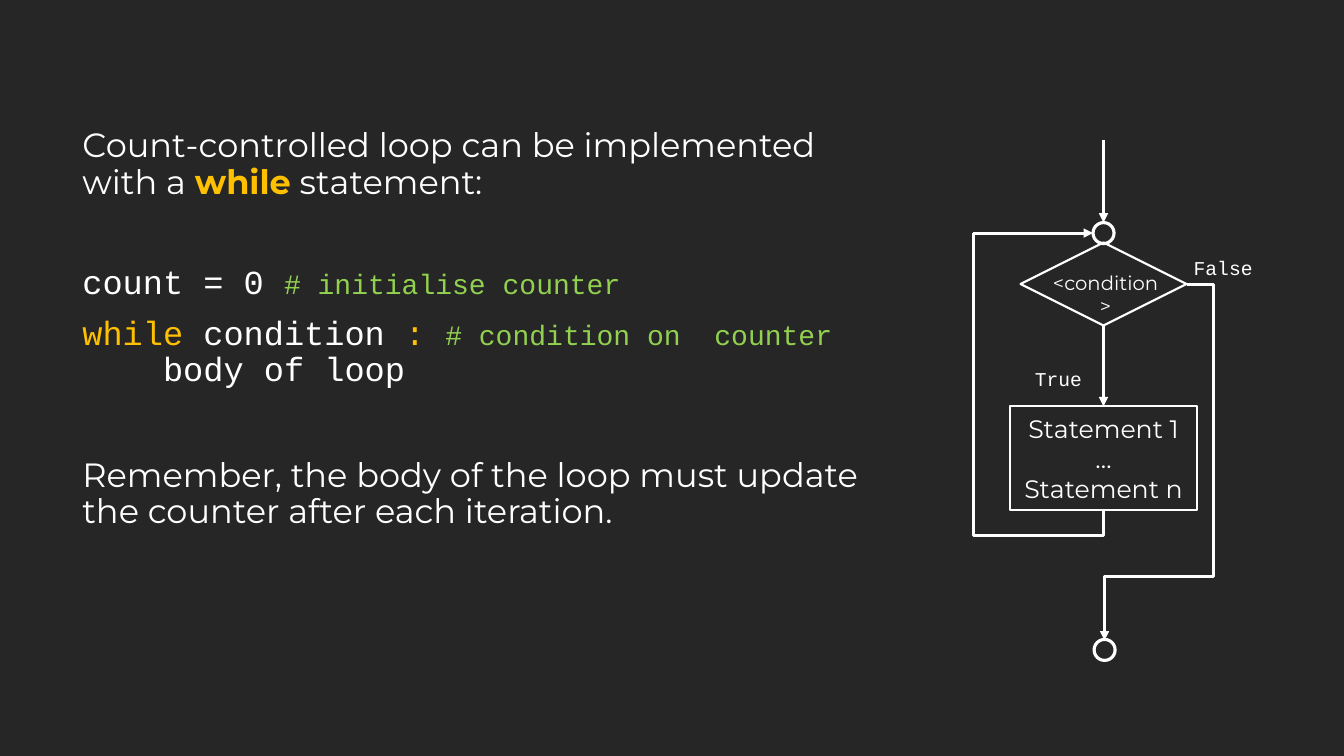
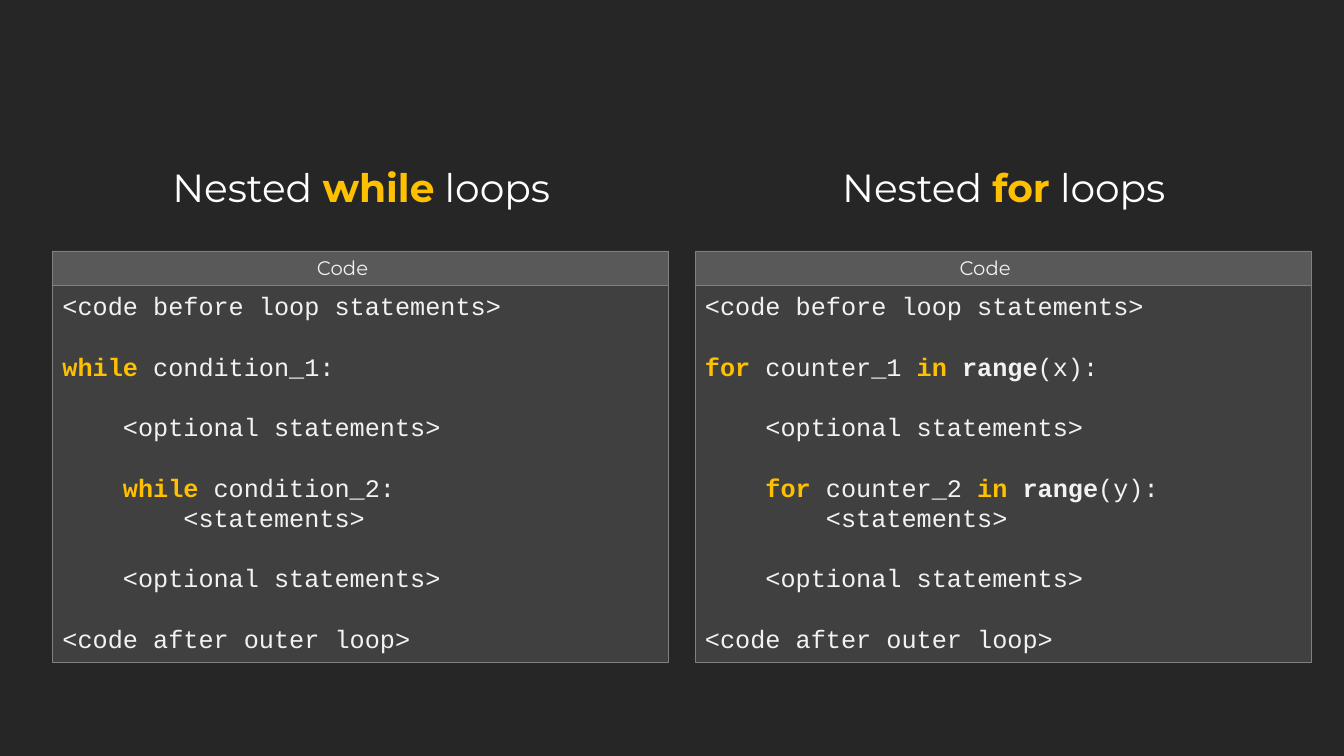
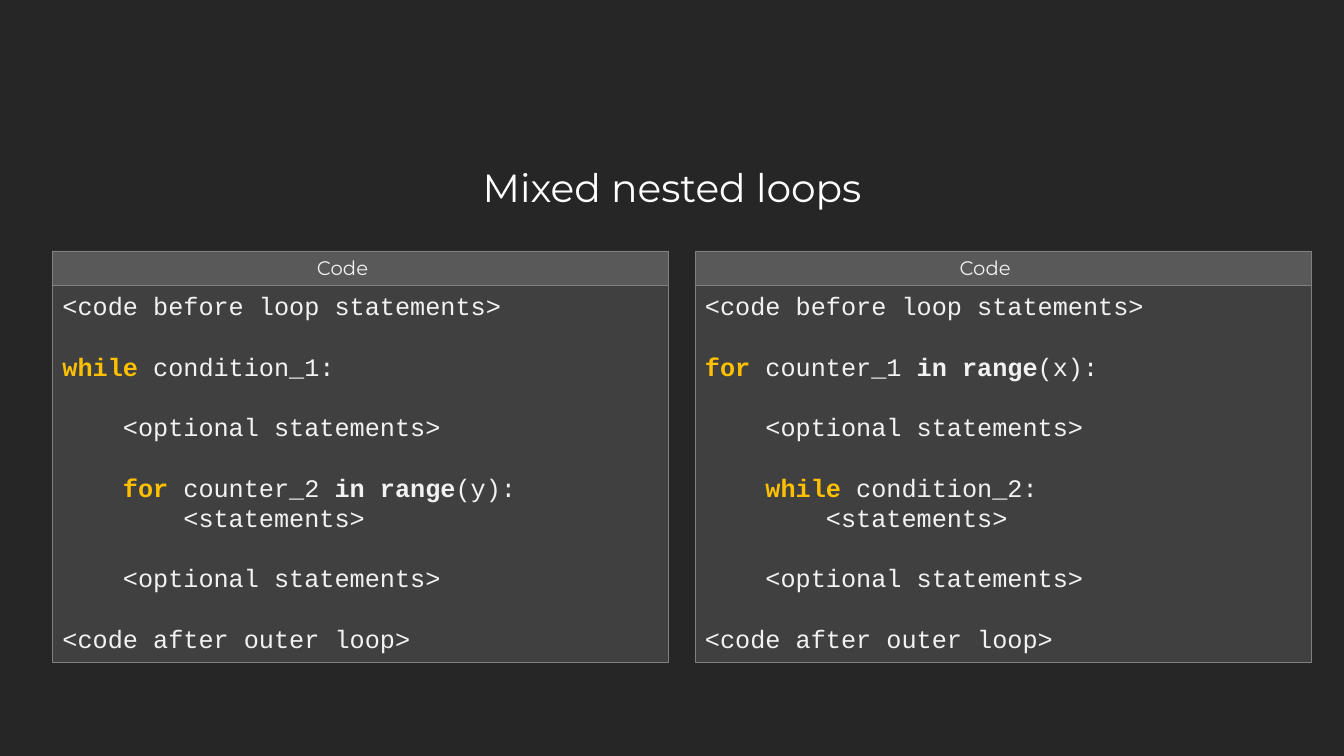
"""Build three slides on count-controlled and nested loops."""
from dataclasses import dataclass
from typing import NamedTuple

from lxml.etree import SubElement
from pptx import Presentation
from pptx.dml.color import RGBColor
from pptx.enum.shapes import MSO_CONNECTOR, MSO_SHAPE
from pptx.enum.text import MSO_ANCHOR, PP_ALIGN
from pptx.oxml.ns import qn
from pptx.util import Pt

PX = 9525
WHITE = RGBColor(0xFF, 0xFF, 0xFF)
PALE = RGBColor(0xF2, 0xF2, 0xF2)
GOLD = RGBColor(0xFF, 0xC0, 0x00)
GREEN = RGBColor(0x92, 0xD0, 0x50)
BACKDROP = RGBColor(0x26, 0x26, 0x26)
PANEL = RGBColor(0x40, 0x40, 0x40)
HEADER = RGBColor(0x59, 0x59, 0x59)
BORDER = RGBColor(0x80, 0x80, 0x80)
SANS, MONO = "Montserrat", "Courier New"
CODE_SIZE, CODE_LINE, CODE_STEP = 18, 21.6, 43.2
TITLE_Y, TITLE_W, TITLE_H = 156, 420, 60
HEADER_Y, HEADER_H, CODE_H = 239, 33, 359
PANEL_W, PANEL_XS = 587, (50, 662)
AXIS, EXIT_X, JOIN_Y, LOOP_X = 1051, 1052, 222, 927


class Box(NamedTuple):
    x: int
    y: int
    w: int
    h: int


class Run(NamedTuple):
    text: str
    color: RGBColor = WHITE
    bold: bool = False
    size: float = 24
    font: str = SANS


@dataclass
class Para:
    runs: list[Run]
    before: float = 0
    indent: float = 0
    spacing: float = 1.0
    align: PP_ALIGN = PP_ALIGN.LEFT


class Label(NamedTuple):
    text: str
    box: Box
    font: str


def emu(*lengths: int) -> list[int]:
    return [length * PX for length in lengths]


def add_run(p, text: str, *, color: RGBColor, bold: bool, size: float, font: str) -> None:
    r = p.add_run()
    r.text = text
    r.font.color.rgb = color
    r.font.bold = bold
    r.font.size = Pt(size)
    r.font.name = font


def write(tf, paras: list[Para]) -> None:
    tf.word_wrap = True
    for i, para in enumerate(paras):
        p = tf.add_paragraph() if i else tf.paragraphs[0]
        p.alignment = para.align
        p.line_spacing = para.spacing
        p.space_before = Pt(para.before)
        if para.indent:
            p._p.get_or_add_pPr().set("marL", str(Pt(para.indent)))
        for run in para.runs:
            add_run(p, run.text, color=run.color, bold=run.bold, size=run.size, font=run.font)


def text_box(s, box: Box, paras: list[Para]) -> None:
    write(s.shapes.add_textbox(*emu(*box)).text_frame, paras)


def shape(s, kind: MSO_SHAPE, box: Box, line: RGBColor, width: float,
          fill: RGBColor | None = None, paras: list[Para] | None = None,
          anchor: MSO_ANCHOR = MSO_ANCHOR.TOP):
    sp = s.shapes.add_shape(kind, *emu(*box))
    sp.shadow.inherit = False
    if fill is None:
        sp.fill.background()
    else:
        sp.fill.solid()
        sp.fill.fore_color.rgb = fill
    sp.line.color.rgb = line
    sp.line.width = Pt(width)
    sp.text_frame.vertical_anchor = anchor
    write(sp.text_frame, paras or [])
    return sp


def connector(s, x1: int, y1: int, x2: int, y2: int, *, arrow: bool = True,
              preset: str = "line", adjust: tuple[float, ...] = (), turn: int = 0) -> None:
    kind = MSO_CONNECTOR.ELBOW if adjust else MSO_CONNECTOR.STRAIGHT
    c = s.shapes.add_connector(kind, *emu(x1, y1, x2, y2))
    c.line.color.rgb = WHITE
    c.line.width = Pt(2.25)
    props = c.element.spPr
    geometry = props.find(qn("a:prstGeom"))
    geometry.set("prst", preset)
    for i, share in enumerate(adjust, 1):
        name = "adj1" if preset == "bentConnector3" else f"adj{i}"
        SubElement(geometry.find(qn("a:avLst")), qn("a:gd"),
                   name=name, fmla=f"val {round(share * 100000)}")
    if turn:
        props.find(qn("a:xfrm")).set("rot", str(turn * 60000))
    if arrow:
        SubElement(props.find(qn("a:ln")), qn("a:tailEnd"), type="triangle")
    SubElement(props, qn("a:effectLst"))


def title(s, x: int, *runs: Run) -> None:
    text_box(s, Box(x, TITLE_Y, TITLE_W, TITLE_H),
             [Para([r._replace(size=28) for r in runs], before=10, spacing=0.9,
                   align=PP_ALIGN.CENTER)])


def code(text: str, color: RGBColor = PALE, bold: bool = False) -> Run:
    return Run(text, color, bold, CODE_SIZE, MONO)


def while_head(n: int) -> list[Run]:
    return [code("while", GOLD, True), code(f" condition_{n}:")]


def for_head(n: int, limit: str, in_color: RGBColor) -> list[Run]:
    return [code("for", GOLD, True), code(f" counter_{n} "), code("in ", in_color, True),
            code("range", bold=True), code(f"({limit}):")]


def code_panel(s, x: int, outer: list[Run], inner: list[Run]) -> None:
    optional = Para([code("<optional statements>")], CODE_LINE, CODE_STEP)
    shape(s, MSO_SHAPE.RECTANGLE, Box(x, HEADER_Y + HEADER_H, PANEL_W, CODE_H), BORDER, 0.5, PANEL, [
        Para([code("<code before loop statements>")]),
        Para(outer, CODE_LINE),
        optional,
        Para(inner, CODE_LINE, CODE_STEP),
        Para([code("<statements>")], indent=2 * CODE_STEP),
        optional,
        Para([code("<code after outer loop>")], CODE_LINE),
    ])
    sp = shape(s, MSO_SHAPE.RECTANGLE, Box(x, HEADER_Y, PANEL_W, HEADER_H), BORDER, 0.5, HEADER,
               [Para([Run("Code", PALE, size=14)], align=PP_ALIGN.CENTER)])
    sp.text_frame.margin_right = 44 * PX


def flowchart(s) -> None:
    shape(s, MSO_SHAPE.DIAMOND, Box(972, 231, 158, 79), WHITE, 1.5)
    connector(s, 1131, 271, EXIT_X, 610, preset="bentConnector4", adjust=(-0.31, 0.82))
    connector(s, 1121, 292, 857, 416, preset="bentConnector3", adjust=(-0.09,),
              turn=90, arrow=False)
    shape(s, MSO_SHAPE.RECTANGLE, Box(962, 387, 178, 99), WHITE, 1.5, anchor=MSO_ANCHOR.MIDDLE,
          paras=[Para([Run(text, size=18)], align=PP_ALIGN.CENTER)
                 for text in ("Statement 1", "…", "Statement n")])
    connector(s, AXIS, 310, AXIS, 387)
    connector(s, AXIS, 133, AXIS, 212)
    connector(s, LOOP_X, JOIN_Y, 1041, JOIN_Y)
    for label in (Label("<condition>", Box(989, 253, 128, 33), SANS),
                  Label("False", Box(1126, 239, 78, 33), MONO),
                  Label("True", Box(975, 345, 66, 33), MONO)):
        text_box(s, label.box, [Para([Run(label.text, size=14, font=label.font)],
                                     align=PP_ALIGN.CENTER)])
    for x, y in ((AXIS, JOIN_Y), (EXIT_X, 619)):
        shape(s, MSO_SHAPE.OVAL, Box(x - 10, y - 10, 20, 20), WHITE, 2.25)


def counter_slide(s) -> None:
    text_box(s, Box(69, 118, 784, 477), [
        Para([Run("Count-controlled loop can be implemented with a "),
              Run("while", GOLD, True), Run(" statement:")], 10, spacing=0.9),
        Para([Run("count = 0 ", font=MONO),
              Run("# initialise counter", GREEN, size=20, font=MONO)], 46, spacing=0.9),
        Para([Run("while", GOLD, font=MONO), Run(" condition ", font=MONO),
              Run(": ", GOLD, font=MONO),
              Run("# condition on  counter", GREEN, size=20, font=MONO)], 10, spacing=0.9),
        Para([Run("body of loop", font=MONO)], indent=57.6, spacing=0.9),
        Para([Run("Remember, the body of the loop must update the counter after each iteration.")],
             50, spacing=0.9),
    ])
    flowchart(s)


def nested_slide(s) -> None:
    left, right = PANEL_XS
    code_panel(s, left, while_head(1), while_head(2))
    code_panel(s, right, for_head(1, "x", GOLD), for_head(2, "y", GOLD))
    for x, word in ((134, "while"), (746, "for")):
        title(s, x, Run("Nested "), Run(word, GOLD, True), Run(" loops"))


def mixed_slide(s) -> None:
    left, right = PANEL_XS
    code_panel(s, left, while_head(1), for_head(2, "y", PALE))
    code_panel(s, right, for_head(1, "x", PALE), while_head(2))
    title(s, 430, Run("Mixed nested loops"))


def main() -> None:
    prs = Presentation()
    prs.slide_width, prs.slide_height = emu(1280, 720)
    backdrop = prs.slide_master.background.fill
    backdrop.solid()
    backdrop.fore_color.rgb = BACKDROP
    for build in (counter_slide, nested_slide, mixed_slide):
        build(prs.slides.add_slide(prs.slide_layouts[6]))
    prs.save("out.pptx")


if __name__ == "__main__":
    main()
